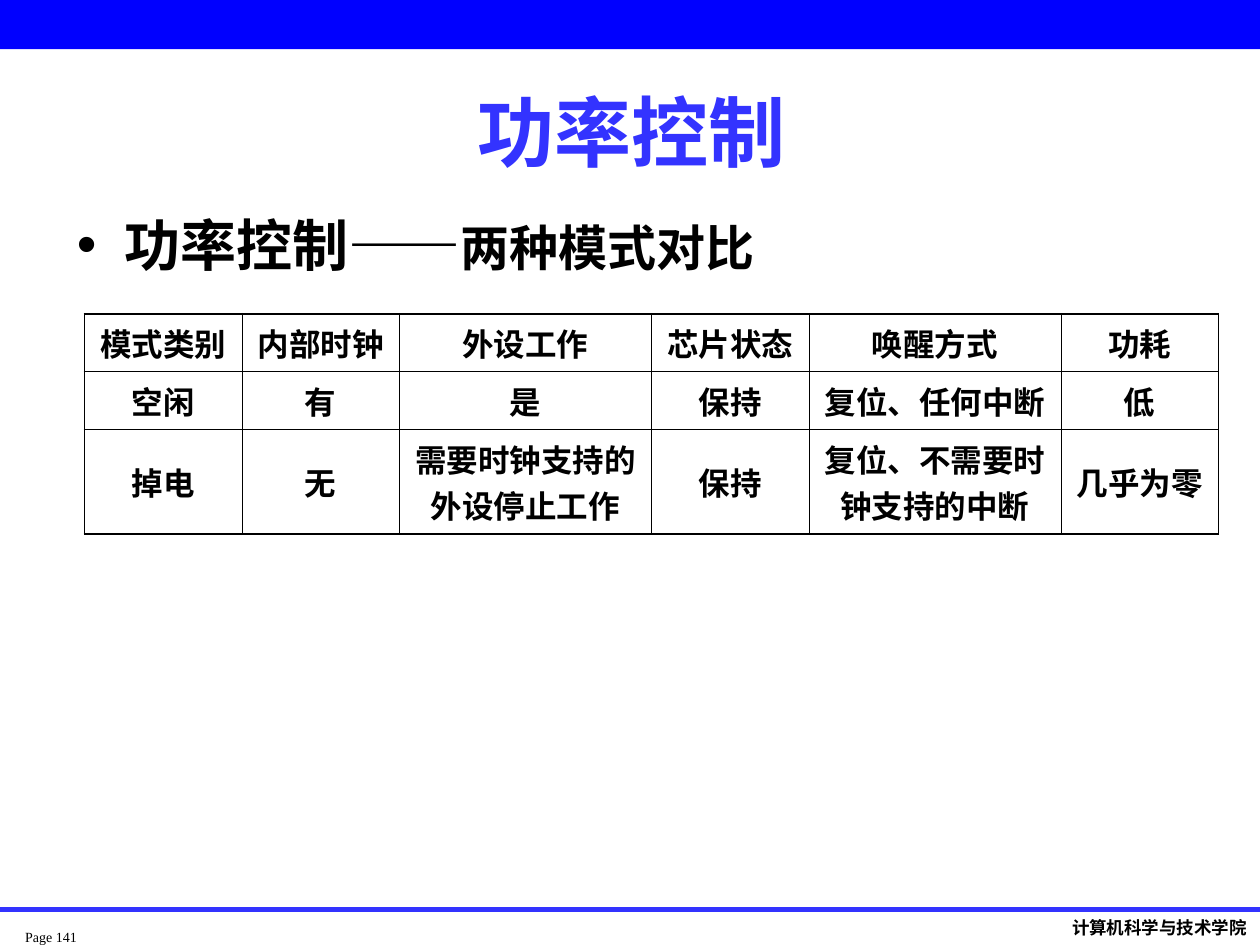
from lxml import etree
from pptx import Presentation
from pptx.dml.color import RGBColor
from pptx.enum.shapes import MSO_CONNECTOR, MSO_SHAPE
from pptx.enum.text import MSO_ANCHOR, MSO_AUTO_SIZE, PP_ALIGN
from pptx.oxml.ns import qn
from pptx.util import Inches, Pt

BLACK = RGBColor(0x00, 0x00, 0x00)
BAND_BLUE = RGBColor(0x00, 0x00, 0xFF)
TITLE_BLUE = RGBColor(0x33, 0x33, 0xFF)
CENTER = PP_ALIGN.CENTER
MIDDLE = MSO_ANCHOR.MIDDLE
RECTANGLE = MSO_SHAPE.RECTANGLE
STRAIGHT = MSO_CONNECTOR.STRAIGHT
TITLE_AND_CONTENT = 1

OUTER_BORDER, INNER_BORDER = Pt(1.08), Pt(0.45)
COLUMN_WIDTHS = [1.25, 1.25, 2, 1.25, 2, 1.25]
ROW_HEIGHTS = [0.46, 0.46, 0.83]
MODES = [
    ["模式类别", "内部时钟", "外设工作", "芯片状态", "唤醒方式", "功耗"],
    ["空闲", "有", "是", "保持", "复位、任何中断", "低"],
    ["掉电", "无", "需要时钟支持的外设停止工作", "保持",
     "复位、不需要时钟支持的中断", "几乎为零"],
]


def style_font(font, name, size, color=BLACK, bold=True):
    font.name = name
    font.size = Pt(size)
    font.bold = bold
    font.color.rgb = color


def place(shape, left, top, width, height):
    shape.left, shape.top = Inches(left), Inches(top)
    shape.width, shape.height = Inches(width), Inches(height)


def add_top_band(page):
    band = page.shapes.add_shape(RECTANGLE, 0, 0, Inches(10), Inches(0.39))
    band.shadow.inherit = False
    band.fill.solid()
    band.fill.fore_color.rgb = BAND_BLUE
    band.line.fill.background()


def add_footer_rule(page):
    y = Inches(7.22)
    rule = page.shapes.add_connector(STRAIGHT, 0, y, Inches(10), y)
    rule.line.color.rgb = TITLE_BLUE
    rule.line.width = Pt(3)
    etree.SubElement(rule._element.spPr, qn("a:effectLst"))


def add_footer_text(page, text, left, top, width, font_name, size, bold):
    box = page.shapes.add_textbox(
        Inches(left), Inches(top), Inches(width), Inches(0.27))
    para = box.text_frame.paragraphs[0]
    para.text = text
    style_font(para.font, font_name, size, bold=bold)
    return box.text_frame


def fill_title(page):
    title = page.shapes.title
    place(title, 0.51, 0.68, 9, 0.71)
    frame = title.text_frame
    frame.auto_size = MSO_AUTO_SIZE.NONE
    frame.vertical_anchor = MIDDLE
    para = frame.paragraphs[0]
    para.text = "功率控制"
    para.alignment = CENTER
    style_font(para.font, "Arial", 44, TITLE_BLUE)


def fill_body(page):
    body = page.placeholders[1]
    place(body, 0.51, 1.62, 9.07, 0.7)
    body.text_frame.auto_size = MSO_AUTO_SIZE.NONE
    para = body.text_frame.paragraphs[0]
    para.space_before = Pt(0)
    for text, font_name, size in [
        ("功率控制", "Arial", 32),
        ("——", "Noto Sans CJK SC", 32),
        ("两种模式对比", "Noto Sans CJK JP", 28),
    ]:
        span = para.add_run()
        span.text = text
        style_font(span.font, font_name, size)


def add_border(cell, side, width):
    """Draw one cell edge; side is L, R, T or B, added in that order."""
    properties = cell._tc.get_or_add_tcPr()
    edge = etree.SubElement(properties, qn(f"a:ln{side}"), w=str(int(width)))
    fill = etree.SubElement(edge, qn("a:solidFill"))
    etree.SubElement(fill, qn("a:srgbClr"), val=str(BLACK))


def add_mode_table(page):
    last_row, last_column = len(ROW_HEIGHTS) - 1, len(COLUMN_WIDTHS) - 1
    table = page.shapes.add_table(
        len(ROW_HEIGHTS), len(COLUMN_WIDTHS), Inches(0.67), Inches(2.49),
        Inches(sum(COLUMN_WIDTHS)), Inches(sum(ROW_HEIGHTS))).table
    table.first_row = False
    table.horz_banding = False
    for column, width in zip(table.columns, COLUMN_WIDTHS):
        column.width = Inches(width)
    for row, height in zip(table.rows, ROW_HEIGHTS):
        row.height = Inches(height)

    for i, texts in enumerate(MODES):
        for j, text in enumerate(texts):
            cell = table.cell(i, j)
            outer_sides = {"L": j == 0, "R": j == last_column,
                           "T": i == 0, "B": i == last_row}
            for side, is_outer in outer_sides.items():
                add_border(cell, side,
                           OUTER_BORDER if is_outer else INNER_BORDER)
            cell.fill.background()
            cell.vertical_anchor = MIDDLE
            para = cell.text_frame.paragraphs[0]
            para.text = text
            para.alignment = CENTER
            style_font(para.font, "Arial", 18)


def main():
    deck = Presentation()
    deck.slide_width, deck.slide_height = Inches(10), Inches(7.5)
    page = deck.slides.add_slide(deck.slide_layouts[TITLE_AND_CONTENT])

    add_top_band(page)
    page_number = add_footer_text(
        page, "Page 141", 0.2, 7.37, 0.63, "Times New Roman", 8, False)
    page_number.margin_left = page_number.margin_right = 0
    page_number.margin_top = page_number.margin_bottom = 0
    add_footer_text(
        page, "计算机科学与技术学院", 8.41, 7.23, 1.59, "Karla", 10, True)
    add_footer_rule(page)
    fill_title(page)
    fill_body(page)
    add_mode_table(page)

    deck.save("out.pptx")


if __name__ == "__main__":
    main()
